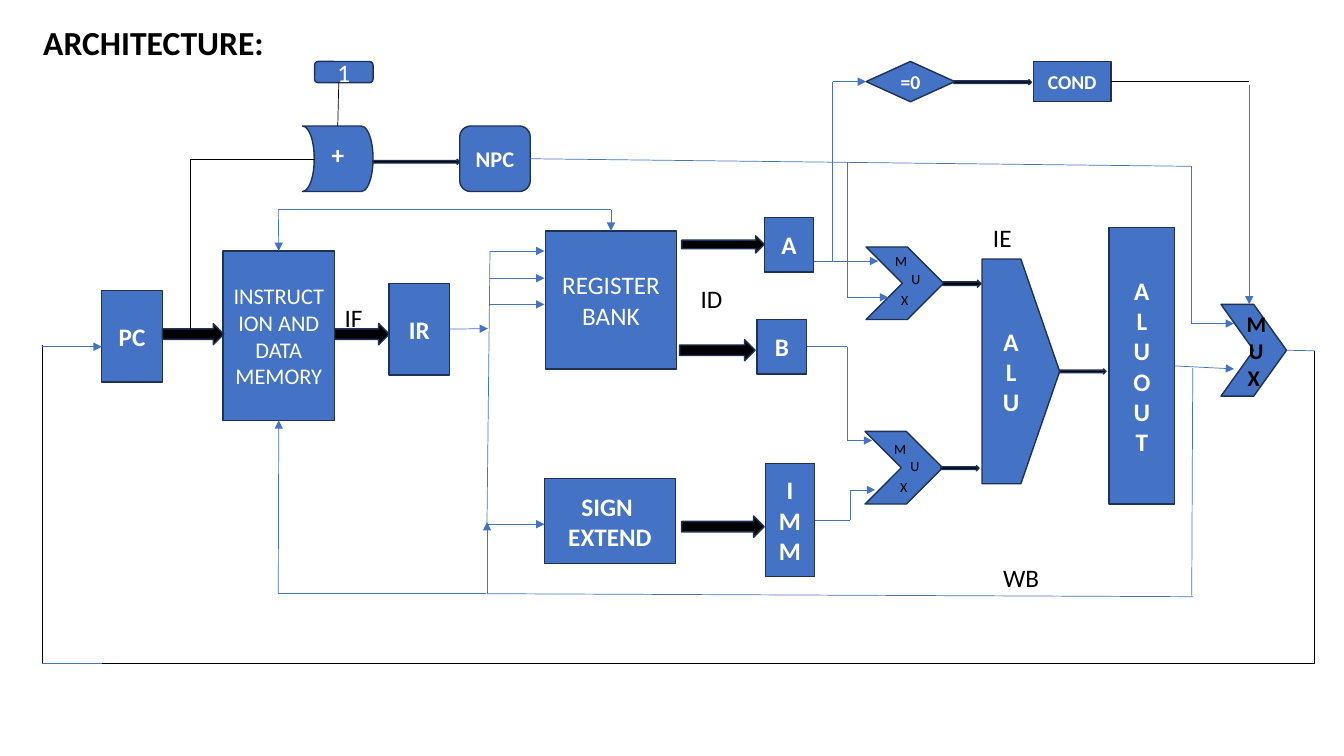
from dataclasses import dataclass

from lxml import etree
from pptx import Presentation
from pptx import util as u
from pptx.dml import color
from pptx.enum import shapes, text
from pptx.oxml import ns

KIND = shapes.MSO_SHAPE
TOP, LEFT, BOTTOM, RIGHT = range(4)


@dataclass(frozen=True)
class Theme:
    font: str = "Calibri"
    blue: str = "4472C4"
    edge: str = "1E3256"
    black: str = "000000"
    white: str = "FFFFFF"
    title: int = 24
    body: int = 18
    medium: int = 16
    small: int = 14
    tiny: int = 10
    outline: float = 1
    wire: float = 0.5


THEME = Theme()


def px(length):
    return u.Emu(length * 9144)


def rgb(value):
    return color.RGBColor.from_string(value)


class Diagram:
    def __init__(self, page, theme):
        self.page = page
        self.theme = theme
        self.blocks = {}

    def set_words(self, box, words, size, ink, bold, align):
        frame = box.text_frame
        frame.word_wrap = True
        frame.text = words
        for para in frame.paragraphs:
            para.alignment = align
            for span in para.runs:
                for name, value in {"name": self.theme.font, "size": u.Pt(size), "bold": bold}.items():
                    setattr(span.font, name, value)
                span.font.color.rgb = rgb(ink)

    def shape(self, kind, place, fill):
        box = self.page.shapes.add_shape(kind, *map(px, place))
        box.shadow.inherit = False
        box.fill.solid()
        box.fill.fore_color.rgb = rgb(fill)
        box.line.color.rgb = rgb(self.theme.edge)
        box.line.width = u.Pt(self.theme.outline)
        return box

    def block(self, name, kind, place, words="", size=THEME.body, bold=True, ink=THEME.white, turn=0):
        box = self.shape(kind, place, self.theme.blue)
        box.rotation = turn
        if words:
            box.text_frame.vertical_anchor = text.MSO_ANCHOR.MIDDLE
            self.set_words(box, words, size, ink, bold, text.PP_ALIGN.CENTER)
        self.blocks[name] = box

    def arrow(self, *place):
        self.shape(KIND.RIGHT_ARROW, place, self.theme.black)

    def label(self, place, words, size=THEME.body, bold=False, parent=None):
        box = (parent or self.page).shapes.add_textbox(*map(px, place))
        self.set_words(box, words, size, self.theme.black, bold, text.PP_ALIGN.LEFT)
        box.text_frame.auto_size = text.MSO_AUTO_SIZE.SHAPE_TO_FIT_TEXT

    def mux_letters(self, left, top):
        group = self.page.shapes.add_group_shape()
        for letter, right, down in (("M", 0, 0), ("U", 16, 17), ("X", 6, 38)):
            self.label((left + right, top + down, 24, 27), letter, self.theme.tiny, parent=group)

    def segment(self, start, finish, ink):
        line = self.page.shapes.add_connector(shapes.MSO_CONNECTOR.STRAIGHT, *map(px, start + finish))
        line.line.color.rgb = rgb(ink)
        line.line.width = u.Pt(self.theme.wire)
        etree.SubElement(line._element.spPr, ns.qn("a:effectLst"))
        return line

    def wire(self, *points, ink=THEME.blue, head=True, start=None, finish=None):
        lines = [self.segment(a, b, ink) for a, b in zip(points, points[1:])]
        if head:
            outline = lines[-1]._element.spPr.find(ns.qn("a:ln"))
            etree.SubElement(outline, ns.qn("a:tailEnd"), type="triangle")
        if start:
            lines[0].begin_connect(self.blocks[start[0]], start[1])
        if finish:
            lines[-1].end_connect(self.blocks[finish[0]], finish[1])


def stacked(word):
    return "\n".join(word)


def draw_blocks(diagram):
    add = diagram.block
    add("pc", KIND.RECTANGLE, (101, 288, 60, 91), "PC")
    add("memory", KIND.RECTANGLE, (221, 249, 111, 168), "INSTRUCTION AND DATA MEMORY", THEME.medium, False)
    add("ir", KIND.RECTANGLE, (386, 281, 60, 91), "IR")
    add("registers", KIND.RECTANGLE, (541, 229, 130, 137), "REGISTER BANK", bold=False)
    add("extend", KIND.RECTANGLE, (540, 475, 130, 84), "SIGN \nEXTEND")
    add("a", KIND.RECTANGLE, (758, 216, 49, 54), "A")
    add("b", KIND.RECTANGLE, (751, 317, 49, 54), "B")
    add("imm", KIND.RECTANGLE, (759, 460, 49, 112), stacked("IMM"))
    add("upper mux", KIND.CHEVRON, (859, 245, 77, 72))
    add("lower mux", KIND.CHEVRON, (858, 428, 77, 72))
    add("alu", KIND.PENTAGON, (974, 257, 77, 223), stacked("ALU"))
    add("aluout", KIND.RECTANGLE, (1100, 226, 65, 274), stacked("ALUOUT"))
    add("adder", KIND.FLOWCHART_STORED_DATA, (300, 125, 70, 65), "+", turn=180)
    add("npc", KIND.ROUNDED_RECTANGLE, (456, 125, 70, 65), "NPC", THEME.medium)
    add("zero", KIND.DIAMOND, (859, 61, 88, 40), "=0", THEME.small)
    add("cond", KIND.RECTANGLE, (1025, 61, 77, 40), "COND", THEME.small)
    add("final mux", KIND.CHEVRON, (1211, 302, 65, 91), " M\n U\nX", THEME.medium, ink=THEME.black)
    add("one", KIND.ROUNDED_RECTANGLE, (312, 61, 58, 21), "1", bold=False)


def draw_arrows(diagram):
    for place in (
        (161, 321, 61, 21), (332, 321, 54, 21), (676, 234, 82, 17),
        (674, 337, 75, 21), (676, 512, 82, 21), (1051, 366, 46, 5),
        (935, 278, 38, 7), (933, 462, 38, 5), (370, 158, 86, 5), (946, 79, 77, 5),
    ):
        diagram.arrow(*place)


def draw_wires(diagram):
    wire = diagram.wire
    for level in (249, 276, 302):
        wire((486, level), (540, level))
    wire((484, 520), (540, 520))
    wire((486, 249), (483, 520), head=False)
    wire((446, 326), (484, 326), start=("ir", RIGHT))
    wire((800, 344), (840, 344), (840, 437), (865, 437), start=("b", RIGHT))
    wire((808, 516), (843, 516), (843, 486), (868, 486), start=("imm", RIGHT))
    wire((807, 259), (871, 259))
    wire((826, 259), (826, 81), (859, 81), finish=("zero", LEFT))
    wire((840, 161), (840, 295), (881, 295))
    wire((526, 158), (1182, 165), (1182, 321), (1224, 321), start=("npc", RIGHT))
    wire((1165, 363), (1224, 366), start=("aluout", RIGHT))
    wire((1102, 81), (1239, 81), ink=THEME.black, head=False, start=("cond", RIGHT))
    wire((1239, 84), (1239, 302))
    wire((1276, 348), (1304, 348), head=False, start=("final mux", RIGHT))
    wire((1304, 348), (1304, 658), (101, 658), ink=THEME.black, head=False)
    wire((101, 658), (42, 658), head=False)
    wire((42, 658), (42, 342), ink=THEME.black, head=False)
    wire((42, 344), (101, 344))
    wire((312, 158), (189, 158), (189, 326), ink=THEME.black, head=False)
    wire((335, 125), (336, 82), ink=THEME.black, head=False)
    wire((1183, 365), (1182, 591), head=False)
    wire((1183, 592), (483, 589), head=False)
    wire((483, 589), (483, 518))
    wire((482, 589), (276, 589), (276, 417), finish=("memory", BOTTOM))
    wire((606, 208), (276, 208), (276, 249), finish=("memory", TOP))
    wire((606, 208), (606, 229), finish=("registers", TOP))


def draw_labels(diagram):
    diagram.label((33, 17, 338, 50), "ARCHITECTURE:", THEME.title, True)
    for words, place in {
        "IF": (332, 295, 43, 40), "ID": (685, 276, 72, 40),
        "IE": (975, 216, 111, 40), "WB": (985, 553, 114, 40),
    }.items():
        diagram.label(place, words)
    diagram.mux_letters(878, 246)
    diagram.mux_letters(877, 432)


def main():
    deck = Presentation()
    deck.slide_width, deck.slide_height = px(1333), px(750)
    page = deck.slides.add_slide(deck.slide_layouts[6])
    diagram = Diagram(page, THEME)
    for draw in (draw_blocks, draw_arrows, draw_wires, draw_labels):
        draw(diagram)
    deck.save("out.pptx")


if __name__ == "__main__":
    main()
